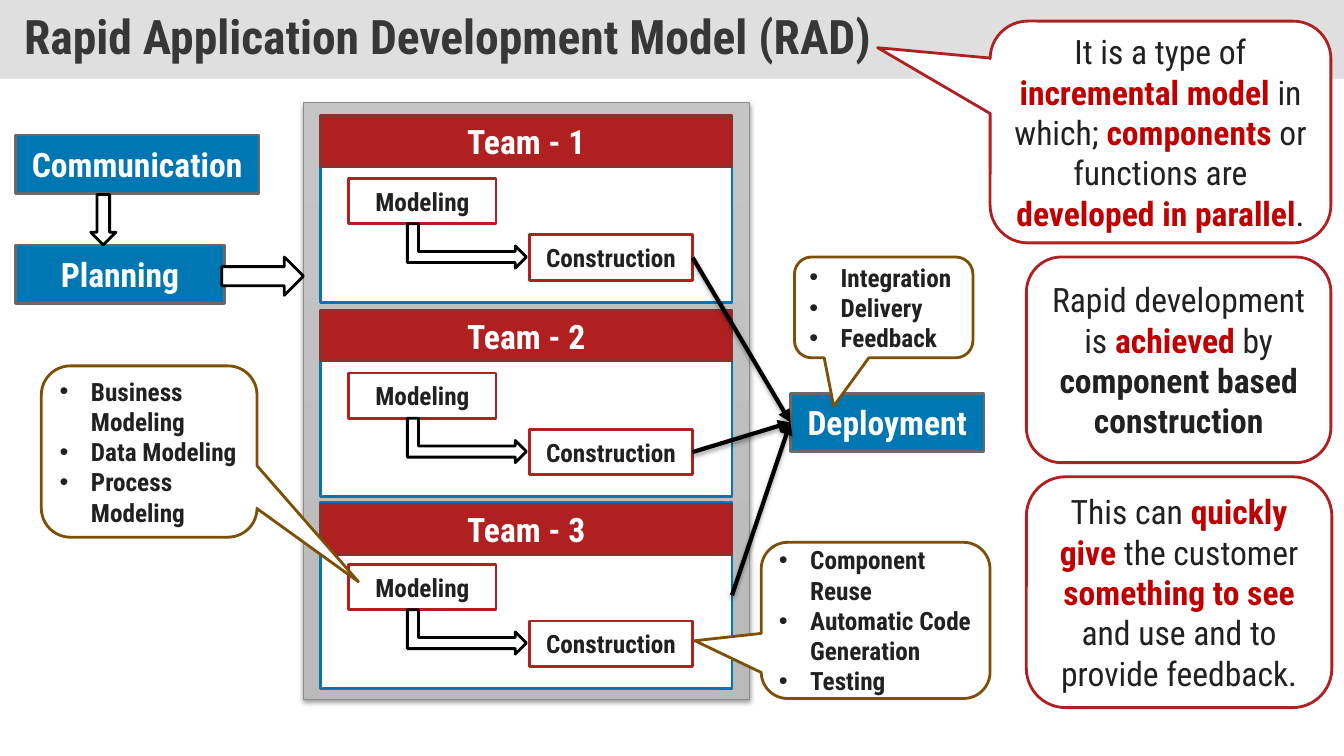
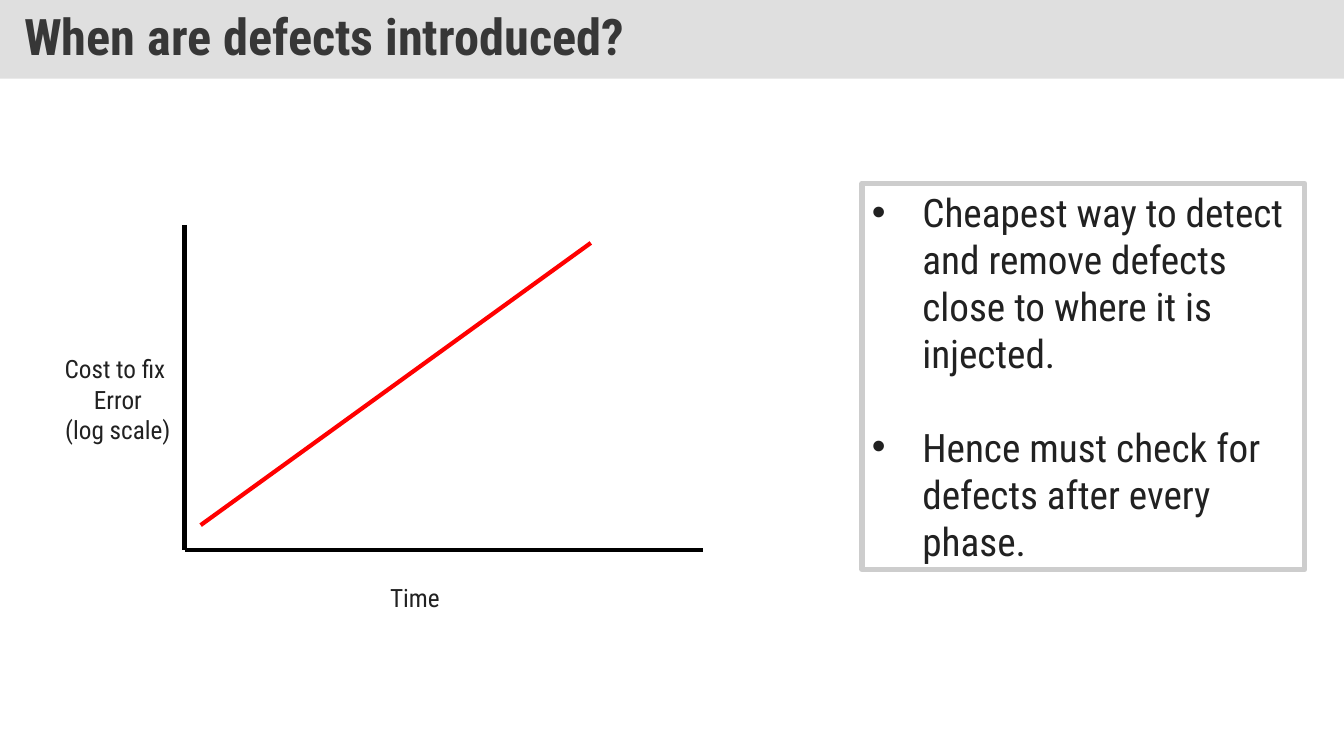
import dataclasses
import typing

import lxml.etree
import pptx
import pptx.dml.color
import pptx.enum.shapes
import pptx.enum.text
import pptx.oxml.ns
import pptx.util

# Scale: 100 px to the inch
SCALE = 9144
WIDE, HIGH = 1333, 750
FONT = "Roboto Condensed"
WHITE, BLACK, INK, BLUE = "FFFFFF", "000000", "212121", "0077B3"
RED, BRIGHT, BROWN = "B02020", "C00000", "7D4F07"

KIND = pptx.enum.shapes.MSO_SHAPE
ALIGN = pptx.enum.text.PP_ALIGN
ANCHOR = pptx.enum.text.MSO_ANCHOR
Box = tuple[int, int, int, int]
Point = tuple[int, int]


class Run(typing.NamedTuple):
    text: str
    color: str = INK
    bold: bool = False


Lines = list[list[Run]]


@dataclasses.dataclass
class Style:
    fill: str | None = WHITE
    line: str | None = None
    width: float = 2


@dataclasses.dataclass
class Note:
    box: Box
    runs: list[Run]
    tip: tuple[float, float] | None = None


@dataclasses.dataclass
class Team:
    name: str
    top: int
    drop: int = 0


STEP = Style(BLUE, "696969")
PANEL = Style(WHITE, BLUE)
HEAD = Style(RED, "863330")
CARD = Style(WHITE, RED)
HINT = Style(WHITE, BROWN)
ARROW = Style(WHITE, BLACK)

STEPS = {
    "Communication": (15, 134, 242, 58),
    "Planning": (15, 243, 208, 58),
    "Deployment": (784, 390, 192, 58),
}
TEAMS = [Team("Team - 1", 115), Team("Team - 2", 308), Team("Team - 3", 498, 2)]
FLOWS = [(KIND.DOWN_ARROW, (90, 193, 25, 50)), (KIND.RIGHT_ARROW, (220, 255, 81, 38))]


def strong(*texts: str) -> list[Run]:
    return [Run(text, INK, True) for text in texts]


HINTS = [
    Note((41, 363, 214, 170),
         strong("Business Modeling", "Data Modeling", "Process Modeling"), (0.97, 0.76)),
    Note((755, 538, 227, 155),
         strong("Component Reuse", "Automatic Code Generation", "Testing"), (-0.79, 0.13)),
    Note((788, 255, 177, 100),
         strong("Integration", "Delivery", "Feedback"), (-0.28, 0.98)),
]
CARDS = [
    Note((982, 21, 338, 220), [
        Run("It is a type of "), Run("incremental model", BRIGHT, True),
        Run(" in which; "), Run("components ", BRIGHT, True),
        Run("or functions are "), Run("developed in parallel", BRIGHT, True),
        Run("."),
    ], (-0.83, -0.38)),
    Note((1018, 255, 302, 204), [
        Run("Rapid development is "), Run("achieved ", BRIGHT, True),
        Run("by "), Run("component based construction", INK, True),
    ]),
    Note((1018, 473, 303, 229), [
        Run("This can "), Run("quickly give", BRIGHT, True),
        Run(" the customer "), Run("something to see", BRIGHT, True),
        Run(" and use and to provide feedback."),
    ]),
]


# Helpers
def px(size: int) -> int:
    return pptx.util.Emu(size * SCALE)


def rgb(color: str) -> pptx.dml.color.RGBColor:
    return pptx.dml.color.RGBColor.from_string(color)


def add(node: typing.Any, tag: str, **attrs: typing.Any) -> typing.Any:
    pairs = {key: str(value) for key, value in attrs.items()}
    return lxml.etree.SubElement(node, pptx.oxml.ns.qn(tag), pairs)


def shade(item: typing.Any, alpha: int = 0, gap: int = 0) -> None:
    """Set a soft drop shadow, or none when alpha is 0."""
    effect = add(item.element.spPr, "a:effectLst")
    if alpha:
        drop = add(effect, "a:outerShdw", blurRad=40000, dist=gap, dir=5400000, rotWithShape=0)
        add(add(drop, "a:srgbClr", val=BLACK), "a:alpha", val=alpha * 1000)


def write(shape: typing.Any, lines: Lines, size: int, align: typing.Any = ALIGN.CENTER,
          indent: int = 0, after: int = 0) -> None:
    frame = shape.text_frame
    frame.word_wrap = True
    for count, runs in enumerate(lines):
        para = frame.add_paragraph() if count else frame.paragraphs[0]
        para.alignment = align
        if after and count < len(lines) - 1:
            para.space_after = pptx.util.Pt(after)
        if indent:
            props = para._p.get_or_add_pPr()
            props.set("marL", str(px(indent)))
            props.set("indent", str(-px(indent)))
            add(add(props, "a:buClr"), "a:srgbClr", val=INK)
            add(props, "a:buFont", typeface="Arial")
            add(props, "a:buChar", char="•")
        for part in runs:
            run = para.add_run()
            run.text = part.text
            run.font.name = FONT
            run.font.size = pptx.util.Pt(size)
            run.font.bold = part.bold
            run.font.color.rgb = rgb(part.color)


def draw(slide: typing.Any, kind: typing.Any, box: Box, style: Style,
         adjust: typing.Sequence[float] = ()) -> typing.Any:
    shape = slide.shapes.add_shape(kind, *map(px, box))
    for index, value in enumerate(adjust):
        shape.adjustments[index] = value
    if style.fill:
        shape.fill.solid()
        shape.fill.fore_color.rgb = rgb(style.fill)
    else:
        shape.fill.background()
    if style.line:
        shape.line.color.rgb = rgb(style.line)
        shape.line.width = pptx.util.Pt(style.width)
    else:
        shape.line.fill.background()
    shade(shape)
    return shape


def label(slide: typing.Any, box: Box, style: Style, run: Run, size: int) -> typing.Any:
    shape = draw(slide, KIND.RECTANGLE, box, style)
    write(shape, [[run]], size)
    return shape


def link(slide: typing.Any, start: Point, end: Point, color: str = BLACK) -> typing.Any:
    ends = map(px, (*start, *end))
    line = slide.shapes.add_connector(pptx.enum.shapes.MSO_CONNECTOR.STRAIGHT, *ends)
    line.line.color.rgb = rgb(color)
    line.line.width = pptx.util.Pt(3)
    return line


def start(deck: typing.Any, title: str, size: int) -> typing.Any:
    """Add a slide with the shared title band."""
    slide = deck.slides.add_slide(deck.slide_layouts[6])
    band = draw(slide, KIND.RECTANGLE, (0, 0, WIDE, 78), Style("C0C0C0"))
    tint = band.element.spPr.find(".//" + pptx.oxml.ns.qn("a:srgbClr"))
    add(tint, "a:alpha", val=50000)
    frame = band.text_frame
    frame.margin_left = frame.margin_right = px(24)
    frame.margin_top = frame.margin_bottom = px(12)
    write(band, [[Run(title, "373737", True)]], size, ALIGN.LEFT)
    frame.paragraphs[0].line_spacing = 0.9
    return slide


# Slide 1
def place(slide: typing.Any, team: Team) -> tuple[typing.Any, typing.Any]:
    """Draw one team; return its panel and its last box."""
    top = team.top
    panel = draw(slide, KIND.RECTANGLE, (318, top, 408, 185), PANEL)
    label(slide, (318, top + team.drop, 408, 50), HEAD, Run(team.name, WHITE, True), 24)
    label(slide, (346, top + 62, 146, 45), CARD, Run("Modeling", INK, True), 18)
    build = label(slide, (525, top + 118, 162, 45), CARD, Run("Construction", INK, True), 18)
    bend = draw(slide, KIND.BENT_UP_ARROW, (441, top + 70, 44, 118), ARROW, (0.25,) * 3)
    bend.rotation = 90
    return panel, build


def model(deck: typing.Any) -> None:
    slide = start(deck, "Rapid Application Development Model (RAD)", 34)
    steps = {name: label(slide, box, STEP, Run(name, WHITE, True), 24)
             for name, box in STEPS.items()}

    # Frame around the teams
    frame = slide.shapes.add_shape(KIND.RECTANGLE, *map(px, (301, 102, 442, 592)))
    frame.fill.gradient()
    frame.fill.gradient_angle = 270
    for stop, color in zip(frame.fill.gradient_stops, ("C5C5C5", "BABABA")):
        stop.color.rgb = rgb(color)
    frame.line.color.rgb = rgb("8C8C8C")
    frame.line.width = pptx.util.Pt(0.75)
    shade(frame, 38, 20000)

    pairs = [place(slide, team) for team in TEAMS]
    for kind, box in FLOWS:
        draw(slide, kind, box, ARROW)

    # Bulleted hints
    for hint in HINTS:
        shape = draw(slide, KIND.ROUNDED_RECTANGULAR_CALLOUT, hint.box, HINT, (*hint.tip, 0.17))
        write(shape, [[run] for run in hint.runs], 18, ALIGN.LEFT, 31)

    # Arrows from the teams to deployment
    for source in (pairs[0][1], pairs[1][1], pairs[2][0]):
        line = link(slide, (0, 0), (0, 0))
        line.begin_connect(source, 3)
        line.end_connect(steps["Deployment"], 1)
        outline = line.element.spPr.find(pptx.oxml.ns.qn("a:ln"))
        add(outline, "a:tailEnd", type="triangle")
        shade(line, 35, 23000)

    # Remarks on the right
    for card in CARDS:
        kind = KIND.ROUNDED_RECTANGULAR_CALLOUT if card.tip else KIND.ROUNDED_RECTANGLE
        shape = draw(slide, kind, card.box, CARD, (*(card.tip or ()), 0.17))
        write(shape, [card.runs], 24)


# Slide 2
def defects(deck: typing.Any) -> None:
    slide = start(deck, "When are defects introduced?", 36)
    advice = draw(slide, KIND.RECTANGLE, (855, 182, 439, 383), Style(None, "CDCDCD", 4))
    advice.text_frame.vertical_anchor = ANCHOR.TOP
    write(advice, [
        [Run("Cheapest way to detect and remove defects close to where it is injected.")],
        [Run("Hence must check for defects after every phase.")],
    ], 28, ALIGN.LEFT, 50, 33)

    # Axes and cost line
    base = (183, 546)
    for first, last, color in (
        ((183, 223), base, BLACK),
        (base, (697, 546), BLACK),
        ((199, 521), (586, 241), "FF0000"),
    ):
        shade(link(slide, first, last, color))

    # Axis names
    for box, words, align in (
        ((52, 346, 130, 100), ("Cost to fix ", "Error", "(log scale)"), ALIGN.CENTER),
        ((377, 573, 80, 40), ("Time",), ALIGN.LEFT),
    ):
        name = slide.shapes.add_textbox(*map(px, box))
        write(name, [[Run(word)] for word in words], 18, align)


def main() -> None:
    deck = pptx.Presentation()
    deck.slide_width, deck.slide_height = px(WIDE), px(HIGH)
    model(deck)
    defects(deck)
    deck.save("out.pptx")


if __name__ == "__main__":
    main()
